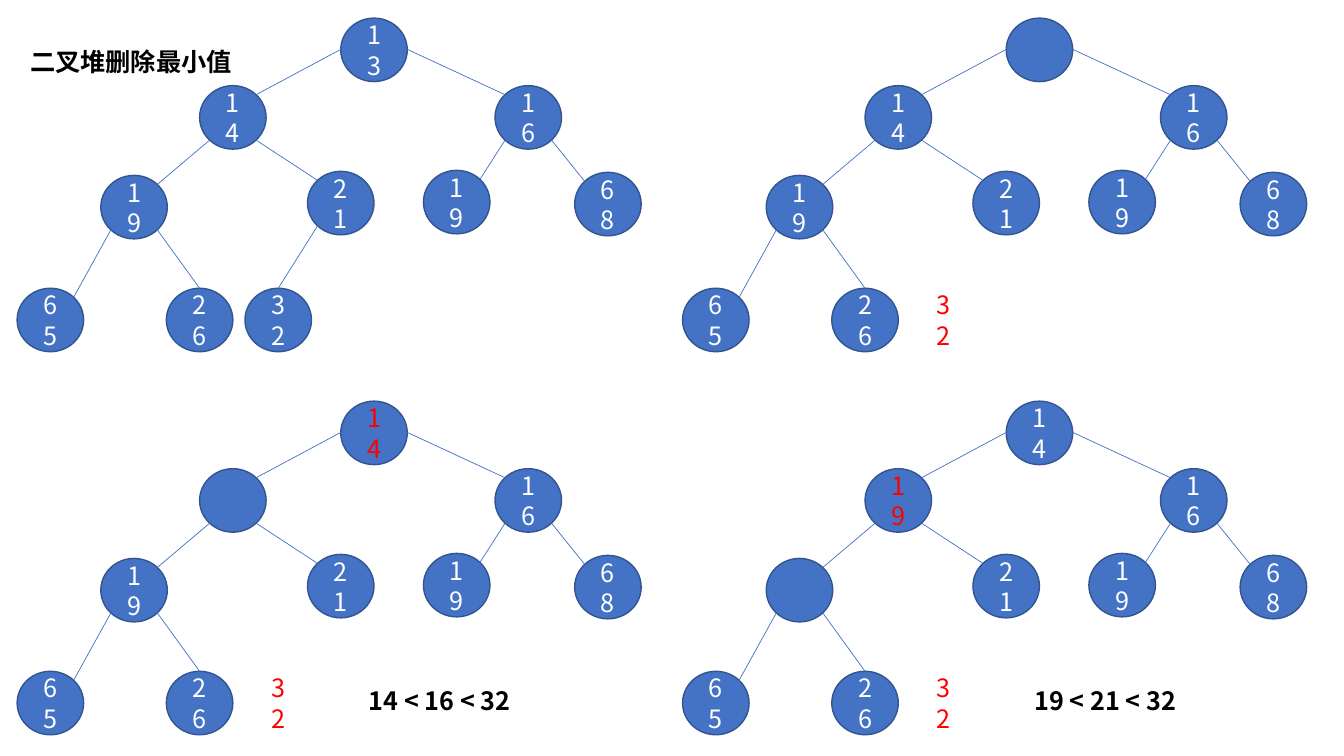
from lxml.etree import SubElement
from pptx import Presentation
from pptx.dml.color import RGBColor
from pptx.enum.shapes import MSO_CONNECTOR, MSO_SHAPE
from pptx.enum.text import MSO_ANCHOR, MSO_AUTO_SIZE, PP_ALIGN
from pptx.oxml.ns import qn
from pptx.util import Pt

PX = 9144
FONT = "Noto Sans CJK SC"
COLORS = {"node": "4472C4", "outline": "325491", "white": "FFFFFF",
          "red": "FF0000", "black": "000000"}
RGB = {name: RGBColor.from_string(value) for name, value in COLORS.items()}

NODE_W, NODE_H = 66, 63
TREE_DX, TREE_DY = 660, 380
NODES = {
    "root": (338, 18), "l": (198, 85), "r": (491, 85),
    "ll": (100, 174), "lr": (305, 170), "rl": (420, 169), "rr": (570, 171),
    "lll": (17, 286), "llr": (165, 286), "lrl": (243, 286),
}
SITES = {"left": (0, 31), "right": (66, 31), "top": (33, 0),
         "top_left": (10, 9), "top_right": (56, 9),
         "bottom_left": (10, 54), "bottom_right": (56, 54)}
EDGES = [
    ("root", "left", "l", "top_right"),
    ("root", "right", "r", "top_left"),
    ("l", "bottom_left", "ll", "top_right"),
    ("l", "bottom_right", "lr", "top_left"),
    ("r", "bottom_left", "rl", "top_right"),
    ("r", "bottom_right", "rr", "top_left"),
    ("ll", "bottom_left", "lll", "top_right"),
    ("ll", "bottom_right", "llr", "top"),
    ("lr", "bottom_left", "lrl", "top"),
]
VALUES = {"root": "13", "l": "14", "r": "16", "ll": "19", "lr": "21",
          "rl": "19", "rr": "68", "lll": "65", "llr": "26", "lrl": "32"}
STEPS = [
    {"col": 0, "row": 0, "changes": {}, "red": [], "detached": []},
    {"col": 1, "row": 0, "changes": {"root": ""},
     "red": ["lrl"], "detached": ["lrl"]},
    {"col": 0, "row": 1, "changes": {"root": "14", "l": ""},
     "red": ["root", "lrl"], "detached": ["lrl"]},
    {"col": 1, "row": 1, "changes": {"root": "14", "l": "19", "ll": ""},
     "red": ["l", "lrl"], "detached": ["lrl"]},
]
LABELS = [
    ("二叉堆删除最小值", 20, 41, 384),
    ("14 < 16 < 32", 356, 675, 300),
    ("19 < 21 < 32", 1016, 675, 300),
]


def px(*lengths):
    return [length * PX for length in lengths]


def add_run(p, text, color, bold=False):
    r = p.add_run()
    r.text = text
    for name, value in {"name": FONT, "size": Pt(18), "bold": bold}.items():
        setattr(r.font, name, value)
    r.font.color.rgb = RGB[color]
    SubElement(r.font._element, qn("a:ea"), typeface=FONT)


prs = Presentation()
prs.slide_width, prs.slide_height = px(1333, 750)
s = prs.slides.add_slide(prs.slide_layouts[6])

for step in STEPS:
    dx, dy = step["col"] * TREE_DX, step["row"] * TREE_DY
    values = VALUES | step["changes"]

    for key, (x, y) in NODES.items():
        detached = key in step["detached"]
        sp = s.shapes.add_shape(MSO_SHAPE.OVAL, *px(x + dx, y + dy, NODE_W, NODE_H))
        sp.shadow.inherit = False
        sp.fill.solid()
        sp.fill.fore_color.rgb = RGB["white" if detached else "node"]
        sp.line.color.rgb = RGB["white" if detached else "outline"]
        sp.line.width = Pt(1)
        if values[key]:
            tf = sp.text_frame
            tf.vertical_anchor = MSO_ANCHOR.MIDDLE
            p = tf.paragraphs[0]
            p.alignment = PP_ALIGN.CENTER
            add_run(p, values[key], "red" if key in step["red"] else "white")

    for parent, start, child, end in EDGES:
        if child in step["detached"]:
            continue
        x1, y1, x2, y2 = (
            origin + offset + shift
            for key, site in ((parent, start), (child, end))
            for origin, offset, shift in zip(NODES[key], SITES[site], (dx, dy))
        )
        edge = s.shapes.add_connector(MSO_CONNECTOR.STRAIGHT, *px(x1, y1, x2, y2))
        edge.line.color.rgb = RGB["node"]
        edge.line.width = Pt(0.5)
        SubElement(edge._element.spPr, qn("a:effectLst"))

for text, x, y, width in LABELS:
    tf = s.shapes.add_textbox(*px(x, y, width, 40)).text_frame
    tf.word_wrap = True
    tf.auto_size = MSO_AUTO_SIZE.SHAPE_TO_FIT_TEXT
    add_run(tf.paragraphs[0], text, "black", bold=True)

prs.save("out.pptx")
